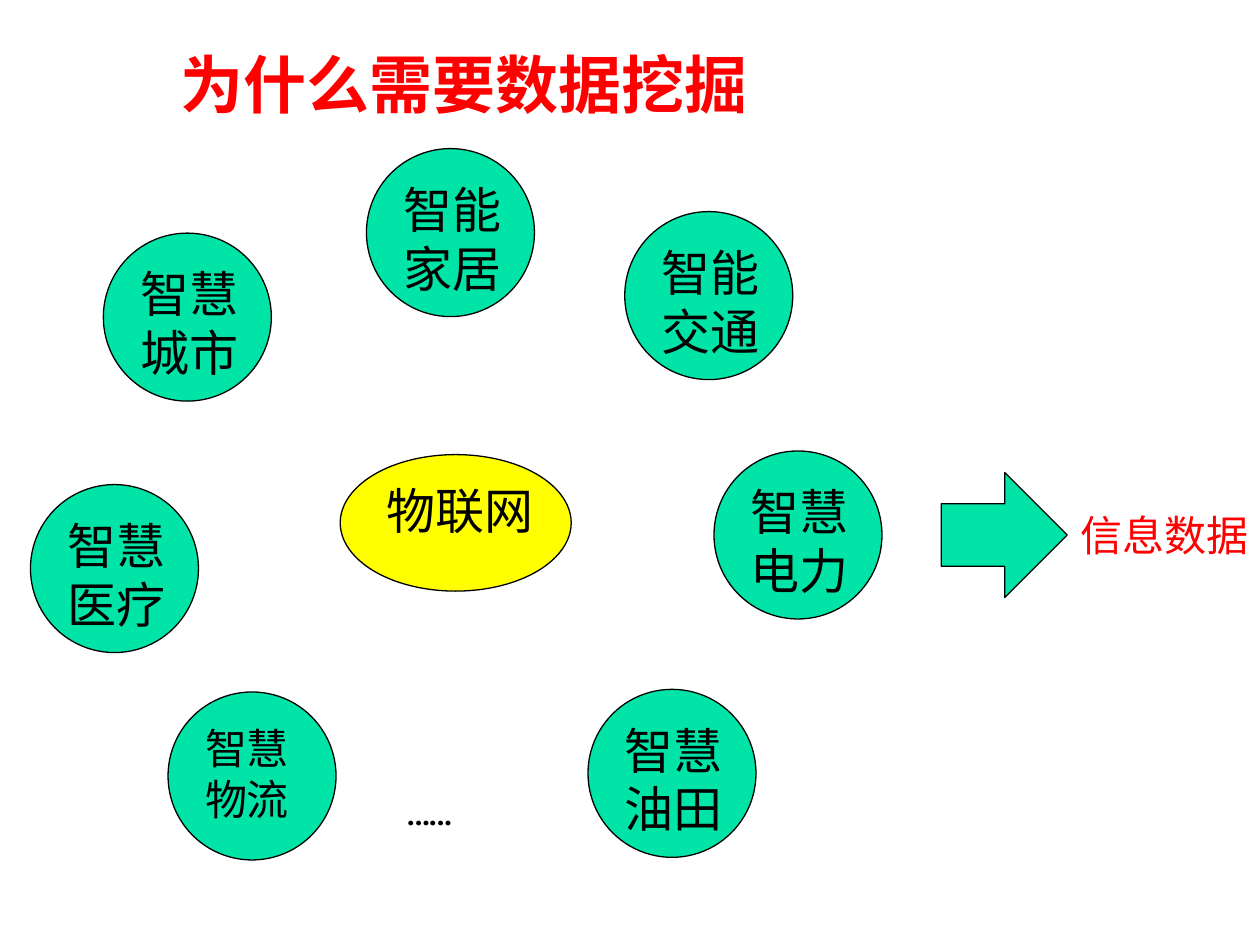
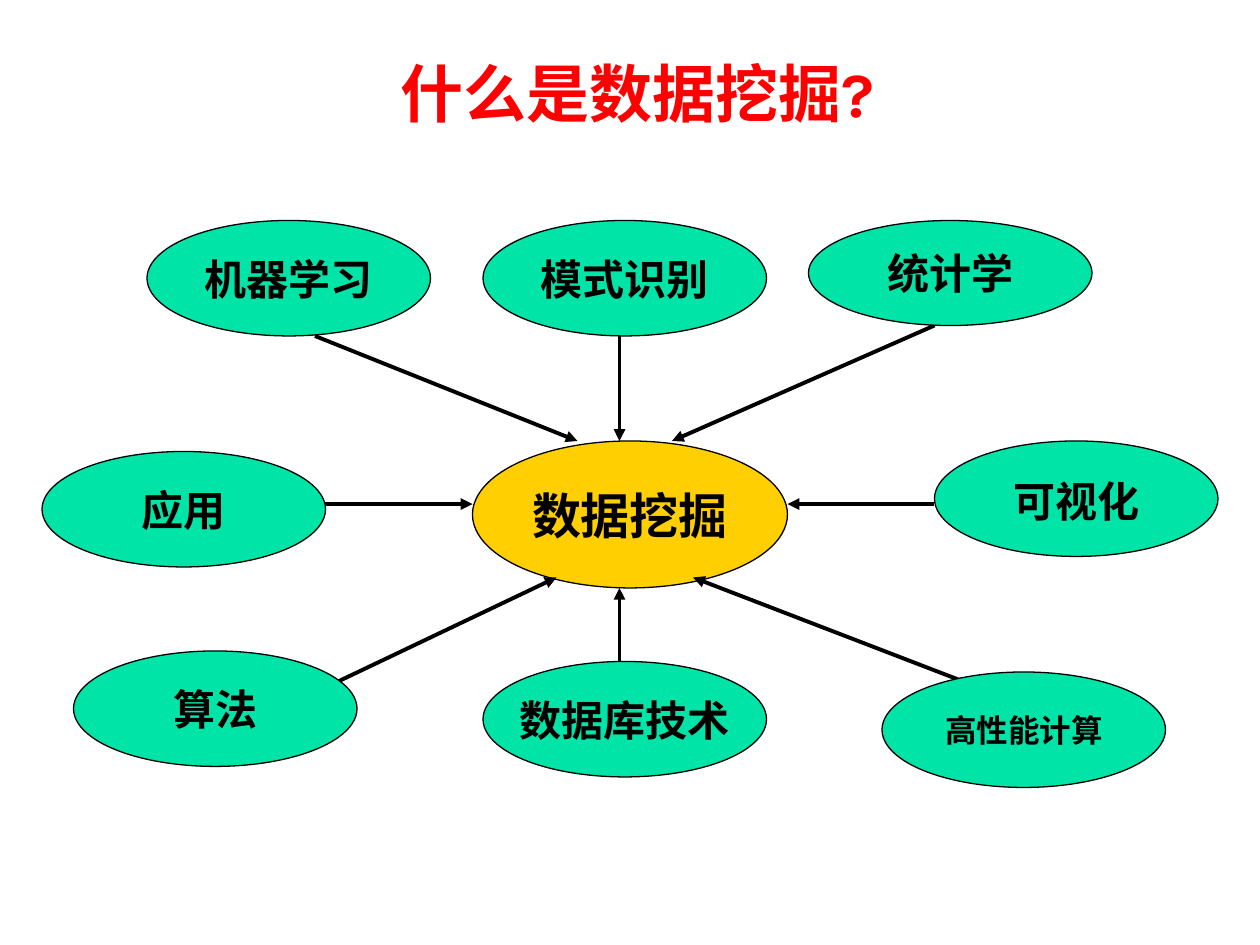
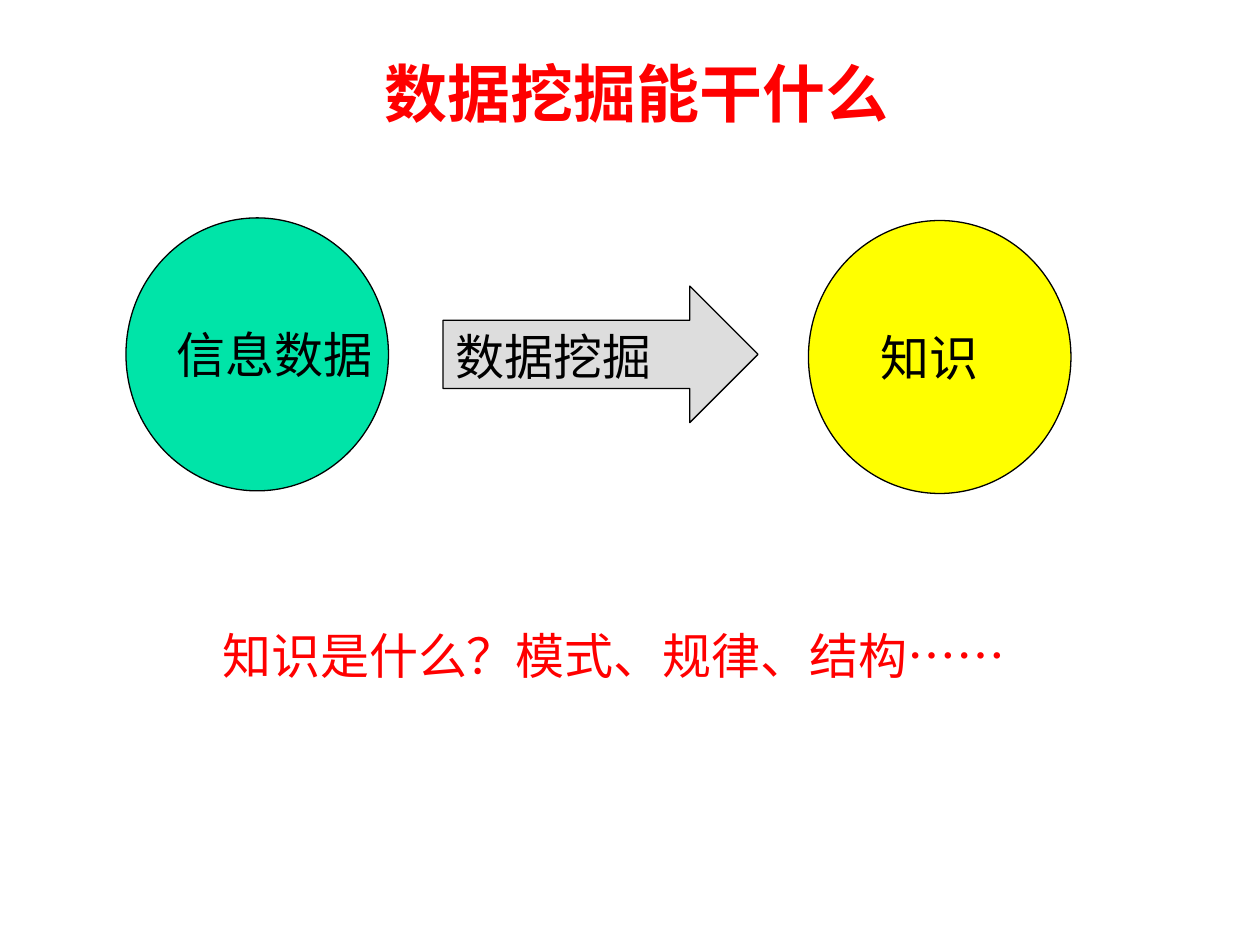
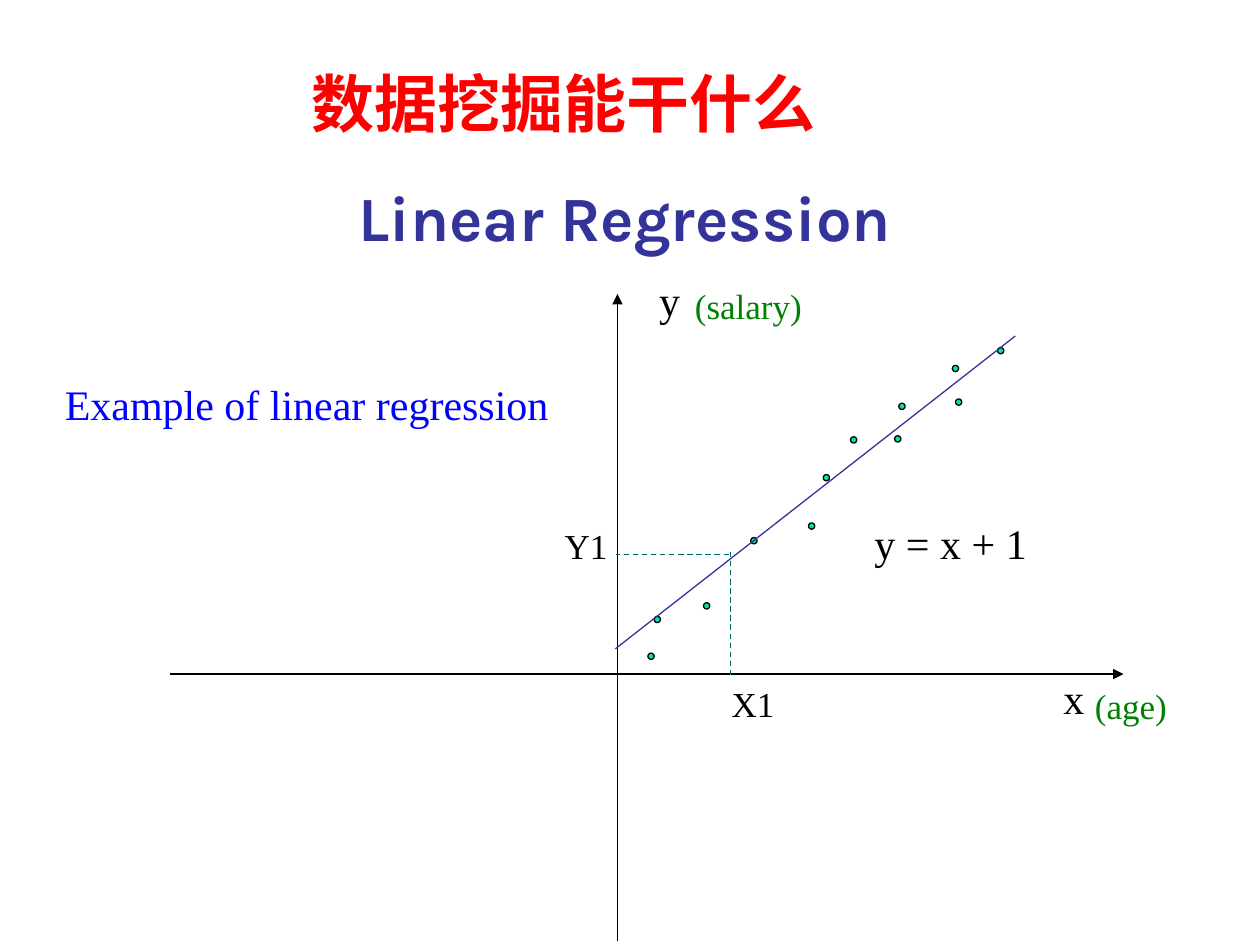
from dataclasses import dataclass

from lxml.etree import SubElement
from pptx import Presentation
from pptx.dml.color import RGBColor
from pptx.enum.dml import MSO_LINE
from pptx.enum.shapes import MSO_CONNECTOR as Link, MSO_SHAPE as Kind
from pptx.enum.text import MSO_ANCHOR as Anchor, MSO_AUTO_SIZE as Fit, PP_ALIGN as Align
from pptx.oxml.ns import qn
from pptx.util import Inches, Pt


@dataclass(frozen=True)
class Theme:
    black: str = "000000"
    red: str = "FF0000"
    mint: str = "00E4A8"
    yellow: str = "FFFF00"
    gold: str = "FFCF01"
    grey: str = "DDDDDD"
    navy: str = "333399"
    teal: str = "006666"
    green: str = "008000"
    blue: str = "0000FF"
    sans: str = "Karla"
    serif: str = "Times New Roman"
    asian: str = "Noto Sans CJK SC"
    title: int = 36
    large: int = 28
    body: int = 24
    label: int = 20
    small: int = 18
    thin: float = 0.75
    thick: float = 2.25


T = Theme()
COLS, ROWS = 120, 90  # slide grid, twelve steps to the inch
STEP = Inches(10) / COLS


@dataclass(frozen=True)
class Box:
    """A region of the slide, in grid steps."""
    left: float
    top: float
    wide: float
    high: float

    def point(self, col, row):
        return round((self.left + col) * STEP), round((self.top + row) * STEP)

    def area(self, col, row, wide, high):
        return *self.point(col, row), round(wide * STEP), round(high * STEP)


PAGE = Box(0, 0, COLS, ROWS)
HEAD = (10, 3, 101.3, 10)


# Shared parts
def rgb(code):
    return RGBColor.from_string(code)


def write(frame, text, size=T.body, color=T.black, font=T.sans, bold=False,
          align=Align.LEFT, anchor=Anchor.TOP, wrap=False):
    frame.text = text
    frame.auto_size = Fit.NONE
    frame.word_wrap = wrap
    frame.vertical_anchor = anchor
    for para in frame.paragraphs:
        para.alignment = align
        face = para.font
        face.name, face.size, face.bold = font, Pt(size), bold
        face.color.rgb = rgb(color)
        props = para._p.get_or_add_pPr().find(qn("a:defRPr"))
        SubElement(props, qn("a:ea"), typeface=T.asian)


def head(slide, text, area=HEAD, color=T.red, align=Align.CENTER, anchor=Anchor.BOTTOM):
    title = slide.shapes.title
    title.left, title.top, title.width, title.height = PAGE.area(*area)
    write(title.text_frame, text, T.title, color, bold=True,
          align=align, anchor=anchor, wrap=True)


def shape(slide, area, fill, text="", kind=Kind.OVAL, **style):
    item = slide.shapes.add_shape(kind, *area)
    item.shadow.inherit = False
    item.fill.solid()
    item.fill.fore_color.rgb = rgb(fill)
    item.line.color.rgb = rgb(T.black)
    item.line.width = Pt(T.thin)
    if text:
        write(item.text_frame, text, **style)
    return item.text_frame


def note(slide, area, text, **style):
    write(slide.shapes.add_textbox(*area).text_frame, text, **style)


def line(slide, start, end, color=T.black, width=T.thin, arrow=False, dash=False):
    item = slide.shapes.add_connector(Link.STRAIGHT, *start, *end)
    item.line.color.rgb = rgb(color)
    item.line.width = Pt(width)
    if dash:
        item.line.dash_style = MSO_LINE.DASH
    if arrow:
        SubElement(item.line._get_or_add_ln(), qn("a:tailEnd"), type="triangle")
    SubElement(item._element.spPr, qn("a:effectLst"))


# Slide 1: fields around the Internet of Things
def fields(slide, box):
    shape(slide, box.area(32.4, 43.3, 22, 13), T.yellow, "物联网", size=T.large)
    for text, col, row, size in (
        ("智慧\n城市", 9.84, 22.2, T.large),
        ("智能\n家居", 34.9, 14.15, T.large),
        ("智能\n交通", 59.5, 20.15, T.large),
        ("智慧\n物流", 16, 65.9, T.body),
        ("智慧\n医疗", 2.9, 46.15, T.large),
        ("智慧\n油田", 56, 65.65, T.large),
        ("智慧\n电力", 68, 42.95, T.large),
    ):
        shape(slide, box.area(col, row, 16, 16), T.mint, text, size=size)
    note(slide, box.area(37.6, 74, 13, 6), "……")
    note(slide, box.area(101.7, 47.9, 20, 6), "信息数据", color=T.red)
    shape(slide, box.area(89.65, 45, 12, 11.9), T.mint, kind=Kind.RIGHT_ARROW)


# Slide 2: disciplines that feed data mining
def sources(slide, box):
    bold = dict(bold=True, align=Align.CENTER, anchor=Anchor.MIDDLE)
    shape(slide, box.area(45, 42, 30, 14), T.gold, "数据挖掘", size=T.large, **bold)
    for start, end in (
        ((31, 48), (45, 48)), ((30, 32), (55, 42)),
        ((89, 31), (64, 42)), ((89, 48), (75, 48)),
        ((92, 65), (66, 55)), ((32, 65), (53, 55)),
        ((59, 67), (59, 56)), ((59, 32), (59, 42)),
    ):
        line(slide, box.point(*start), box.point(*end), width=T.thick, arrow=True)
    for text, col, row, high, size, gap in (
        ("机器学习", 14, 21, 11, T.body, 1),
        ("统计学", 77, 21, 10, T.body, 1),
        ("应用", 4, 43, 11, T.body, 1),
        ("算法", 7, 62, 11, T.body, 1),
        ("模式识别", 46, 21, 11, T.body, 1),
        ("高性能计算", 84, 64, 11, T.small, 1),
        ("可视化", 89, 42, 11, T.body, 1.1),
        ("数据库技术", 46, 63, 11, T.body, 1),
    ):
        frame = shape(slide, box.area(col, row, 27, high), T.mint, text, size=size, **bold)
        frame.paragraphs[0].line_spacing = gap


# Slide 3: from data to knowledge
def flow(slide, box):
    big = dict(size=T.large)
    shape(slide, box.area(12, 20.75, 25, 26), T.mint, "信息数据",
          anchor=Anchor.MIDDLE, **big)
    goal = shape(slide, box.area(77, 21, 25, 26), T.yellow, "知识",
                 anchor=Anchor.MIDDLE, **big)
    goal.margin_left = Inches(0.27)
    shape(slide, box.area(42.2, 27.25, 30, 13), T.grey, "数据挖掘", Kind.RIGHT_ARROW, **big)
    note(slide, box.area(20, 59, 77, 6.8), "知识是什么？模式、规律、结构……",
         color=T.red, **big)


# Slide 4: regression plot, measured from its origin
def plot(slide, box):
    zero_x, zero_y = 42.6, 36.2

    def spot(right, up):
        return zero_x + right, zero_y - up

    # Axes
    line(slide, box.point(0, zero_y), box.point(box.wide, zero_y), arrow=True)
    line(slide, box.point(zero_x, box.high), box.point(zero_x, 0), arrow=True)

    # Samples
    for right, up in (
        (18.2, 14.4), (12.7, 13), (8.2, 6.8), (19.6, 19), (22.2, 22.6), (3.5, 5.5),
        (26.4, 22.7), (26.8, 25.8), (32.2, 26.2), (2.9, 2), (31.9, 29.4), (36.2, 31.1),
    ):
        shape(slide, box.area(*spot(right, up), 0.6, 0.6), T.mint)

    # Fitted line and guides
    for start, end, color, dash in (
        ((-0.2, 2.4), (37.9, 32.2), T.navy, False),
        ((10.8, 11.6), (10.8, -0.1), T.teal, True),
        ((10.6, 11.4), (-0.1, 11.4), T.teal, True),
    ):
        line(slide, box.point(*spot(*start)), box.point(*spot(*end)), color, dash=dash)

    # Labels
    for text, right, up, wide, high, size, color in (
        ("x", 41.3, 0.7, 4.3, 6, T.body, T.black),
        ("y", 2.8, 38.6, 4.3, 6, T.body, T.black),
        ("y = x + 1", 23.3, 15.5, 17, 6, T.body, T.black),
        ("X1", 9.7, -0.2, 6.5, 5.3, T.label, T.black),
        ("Y1", -6.2, 14.8, 6.5, 5.3, T.label, T.black),
        ("(salary)", 6.2, 37.7, 12.6, 5.2, T.label, T.green),
        ("(age)", 44.3, -0.4, 9.2, 5.2, T.label, T.green),
        ("Example of linear regression", -53.8, 28.7, 48.5, 6, T.body, T.blue),
    ):
        note(slide, box.area(*spot(right, up), wide, high), text,
             size=size, color=color, font=T.serif)


def main():
    deck = Presentation()
    deck.slide_width, deck.slide_height = Inches(10), Inches(7.5)
    layout = deck.slide_layouts[5]
    why, what, use, fit = (deck.slides.add_slide(layout) for _ in range(4))

    head(why, "为什么需要数据挖掘", (16, 3.7, 71, 8.4), align=Align.LEFT, anchor=Anchor.TOP)
    fields(why, PAGE)

    head(what, "什么是数据挖掘?")
    sources(what, PAGE)

    head(use, "数据挖掘能干什么")
    flow(use, PAGE)

    head(fit, "Linear Regression", (5, 12.85, 109, 12), T.navy)
    plot(fit, Box(16.2, 28, 90.8, 61.6))
    note(fit, PAGE.area(28.1, 5.4, 51.1, 8.5), "数据挖掘能干什么", size=T.title,
         color=T.red, bold=True, align=Align.CENTER, anchor=Anchor.BOTTOM, wrap=True)

    deck.save("out.pptx")


if __name__ == "__main__":
    main()
